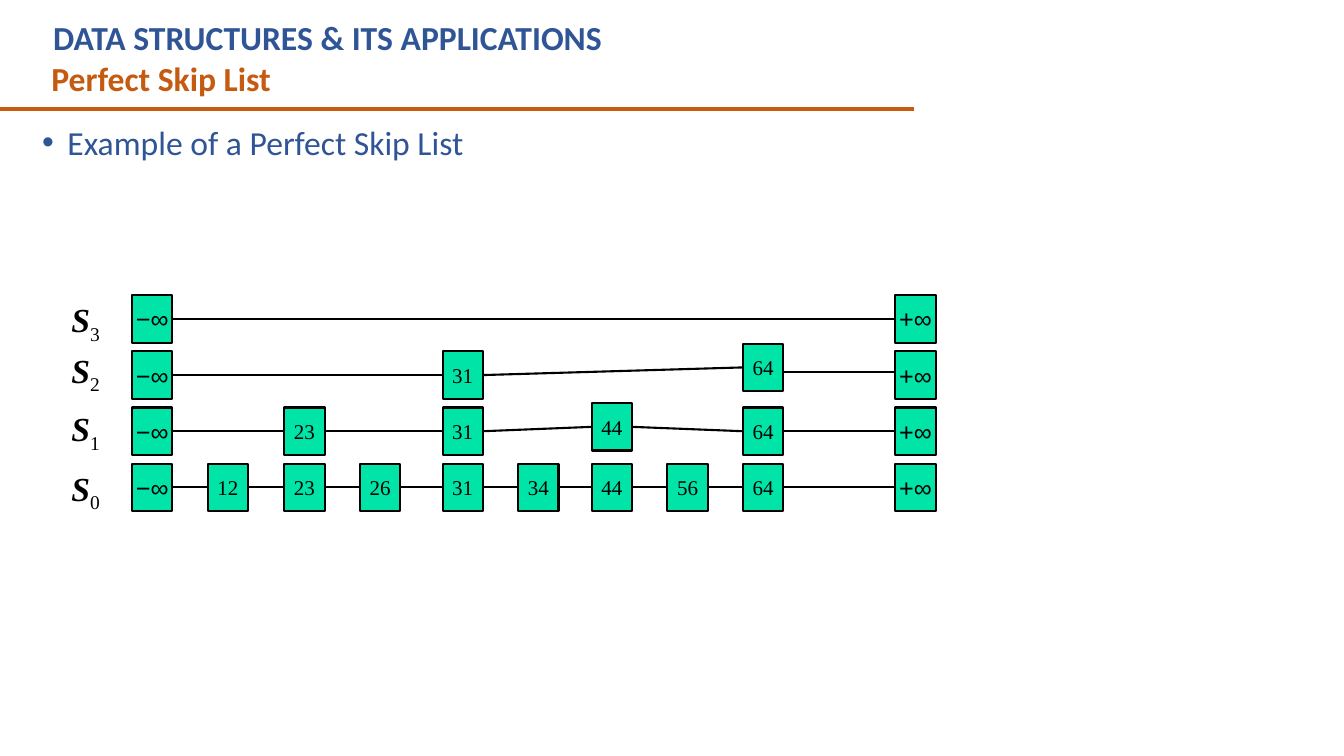
from dataclasses import dataclass
from itertools import pairwise

from lxml.etree import SubElement
from pptx import Presentation
from pptx.dml.color import RGBColor
from pptx.enum.shapes import MSO_CONNECTOR as Connector, MSO_SHAPE as Shape
from pptx.enum.text import MSO_ANCHOR as Anchor, MSO_AUTO_SIZE as AutoSize, PP_ALIGN as Align
from pptx.oxml.ns import qn
from pptx.util import Inches, Pt


@dataclass(frozen=True)
class Theme:
    blue: RGBColor = RGBColor(0x2F, 0x55, 0x97)
    orange: RGBColor = RGBColor(0xC5, 0x5A, 0x11)
    green: RGBColor = RGBColor(0x00, 0xE4, 0xA8)
    black: RGBColor = RGBColor(0, 0, 0)
    heading_size: Pt = Pt(24)
    key_size: Pt = Pt(15)
    infinity_size: Pt = Pt(18)
    link_width: Pt = Pt(1.5)
    rule_width: Pt = Pt(3)
    heading_font: str = "Calibri"
    key_font: str = "Times New Roman"
    infinity_font: str = "Arial"


THEME = Theme()
LOW, HIGH = "−∞", "+∞"
COLUMNS = {
    LOW: 1.31, "12": 2.06, "23": 2.82, "26": 3.57, "31": 4.39,
    "34": 5.14, "44": 5.87, "56": 6.62, "64": 7.37, HIGH: 8.88,
}
LEVELS = [
    (4.59, [LOW, "12", "23", "26", "31", "34", "44", "56", "64", HIGH]),
    (4.0, [LOW, "23", "31", "44", "64", HIGH]),
    (3.42, [LOW, "31", "64", HIGH]),
    (2.92, [LOW, HIGH]),
]
BASE_TOP, LEVEL_STEP = 4.6, 0.557
NODE_WIDTH, NODE_HEIGHT = 0.4, 0.47
RAISED_TOPS = {(1, "44"): 4.0, (2, "64"): 3.41}
LEVEL_LINK_HEIGHTS = {(2, "64"): 3.69}

HEADING = dict(name=THEME.heading_font, size=THEME.heading_size, bold=True)
KEY = dict(name=THEME.key_font, size=THEME.key_size)
INFINITY = dict(name=THEME.infinity_font, size=THEME.infinity_size)
LEVEL_LETTER = dict(name=THEME.key_font, size=THEME.heading_size, bold=True, italic=True)
LEVEL_NUMBER = dict(name=THEME.key_font, size=THEME.heading_size)
FRAME = dict(
    margin_left=Inches(0.1), margin_right=Inches(0.1),
    margin_top=Inches(0.05), margin_bottom=Inches(0.05),
    auto_size=AutoSize.NONE, word_wrap=True, vertical_anchor=Anchor.TOP,
)


def apply(target, values):
    for attribute, value in values.items():
        setattr(target, attribute, value)


def add_run(paragraph, text, font_values, color):
    run = paragraph.add_run()
    run.text = text
    apply(run.font, font_values)
    run.font.color.rgb = color
    return run


def write_text(holder, text, font_values, color, align=Align.LEFT, **frame_values):
    apply(holder.text_frame, FRAME | frame_values)
    paragraph = holder.text_frame.paragraphs[0]
    paragraph.alignment = align
    add_run(paragraph, text, font_values, color)
    return paragraph


def add_box(slide, left, top, width, height):
    return slide.shapes.add_textbox(Inches(left), Inches(top), Inches(width), Inches(height))


def add_headings(slide):
    topic = slide.shapes.title
    apply(topic, dict(left=Inches(0.41), top=Inches(0.52), width=Inches(8.75), height=Inches(0.5)))
    write_text(topic, "Perfect Skip List", HEADING, THEME.orange)
    course = add_box(slide, 0.43, 0.12, 8.2, 0.5)
    write_text(course, "DATA STRUCTURES & ITS APPLICATIONS", HEADING, THEME.blue)


def add_bullet(slide, text):
    statement = add_box(slide, 0.32, 1.15, 8.74, 0.46)
    paragraph = write_text(
        statement, text, HEADING | dict(bold=False), THEME.blue, Align.JUSTIFY,
        margin_top=0, margin_bottom=0, vertical_anchor=Anchor.MIDDLE,
    )
    properties = paragraph._p.get_or_add_pPr()
    properties.set("marL", str(Inches(0.25)))
    properties.set("indent", str(Inches(-0.25)))
    SubElement(properties, qn("a:buFont")).set("typeface", "Arial")
    SubElement(properties, qn("a:buChar")).set("char", "•")
    paragraph.line_spacing = 1.14


def add_line(slide, start, end, color, width):
    line = slide.shapes.add_connector(
        Connector.STRAIGHT, *(Inches(length) for length in (*start, *end))
    )
    line.line.color.rgb = color
    line.line.width = width
    SubElement(line._element.spPr, qn("a:effectLst"))
    return line


def add_node(slide, level, key):
    top = RAISED_TOPS.get((level, key), BASE_TOP - level * LEVEL_STEP)
    node = slide.shapes.add_shape(
        Shape.RECTANGLE, Inches(COLUMNS[key]), Inches(top),
        Inches(NODE_WIDTH), Inches(NODE_HEIGHT),
    )
    node.shadow.inherit = False
    node.fill.solid()
    node.fill.fore_color.rgb = THEME.green
    node.line.color.rgb = THEME.black
    node.line.width = THEME.link_width
    font_values = INFINITY if key in (LOW, HIGH) else KEY
    write_text(
        node, key, font_values, THEME.black, Align.CENTER,
        word_wrap=False, vertical_anchor=Anchor.MIDDLE,
    )
    return node


def add_link(slide, level, key, next_key, nodes):
    height = LEVEL_LINK_HEIGHTS.get((level, key))
    y = height or BASE_TOP
    link = add_line(
        slide, (COLUMNS[key] + NODE_WIDTH, y), (COLUMNS[next_key], y),
        THEME.black, THEME.link_width,
    )
    if height is None:
        link.begin_connect(nodes[key], 3)
        link.end_connect(nodes[next_key], 1)


def add_level_label(slide, level, top):
    label = add_box(slide, 0.61, top, 0.48, 0.56)
    paragraph = write_text(
        label, "S", LEVEL_LETTER, THEME.black, Align.CENTER, word_wrap=False
    )
    number = add_run(paragraph, str(level), LEVEL_NUMBER, THEME.black)
    number._r.get_or_add_rPr().set("baseline", "-25000")


def add_level(slide, level, label_top, keys):
    add_level_label(slide, level, label_top)
    nodes = {key: add_node(slide, level, key) for key in keys}
    for key, next_key in pairwise(keys):
        add_link(slide, level, key, next_key, nodes)


def main():
    presentation = Presentation()
    presentation.slide_width = Inches(13.33)
    presentation.slide_height = Inches(7.5)
    slide = presentation.slides.add_slide(presentation.slide_layouts[5])
    add_headings(slide)
    add_line(slide, (-0.01, 1.08), (9.07, 1.08), THEME.orange, THEME.rule_width)
    add_bullet(slide, "Example of a Perfect Skip List")
    for level, (label_top, keys) in enumerate(LEVELS):
        add_level(slide, level, label_top, keys)
    presentation.save("out.pptx")


if __name__ == "__main__":
    main()
